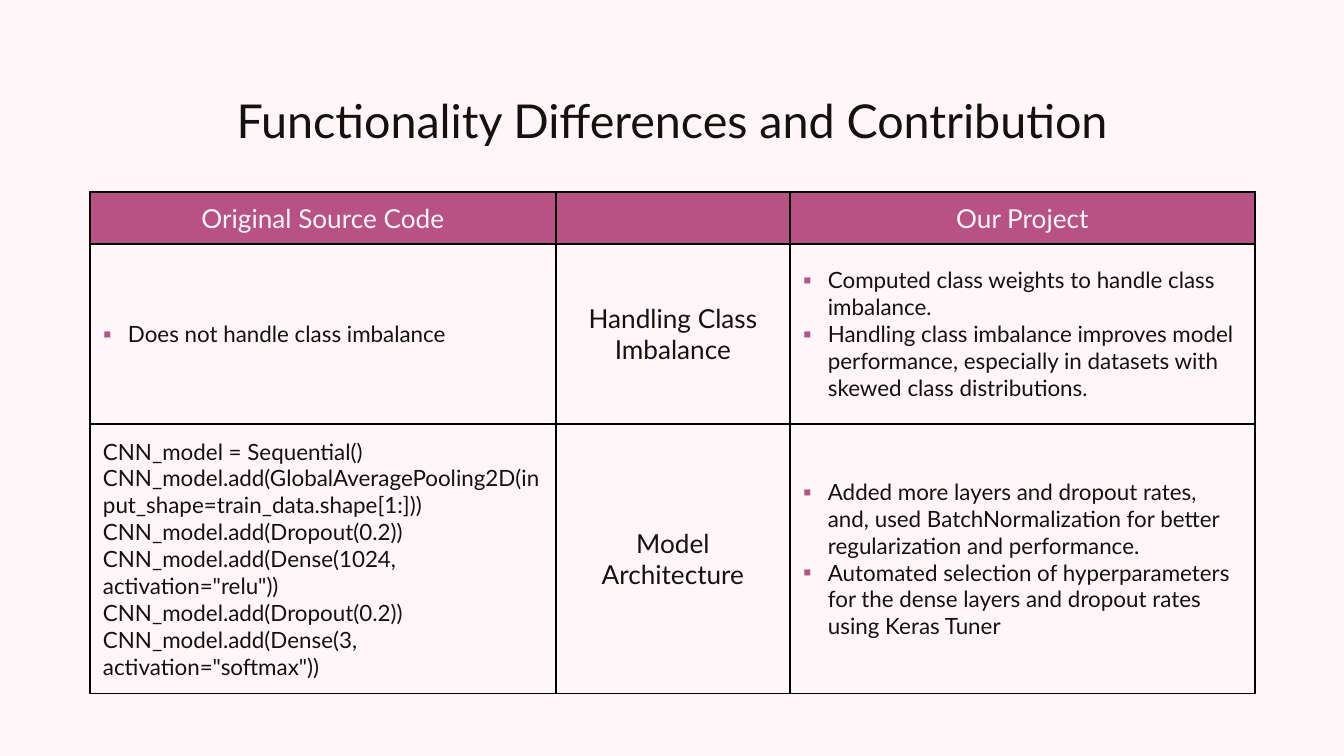
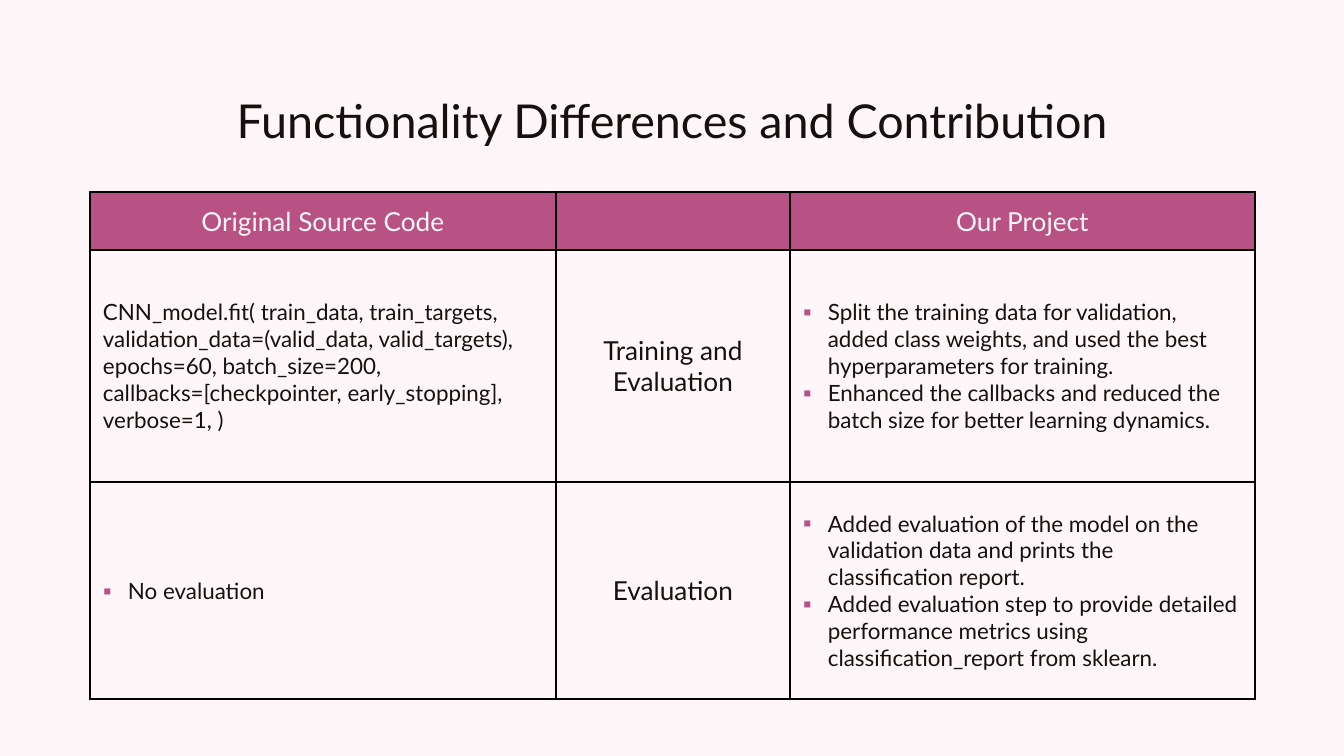
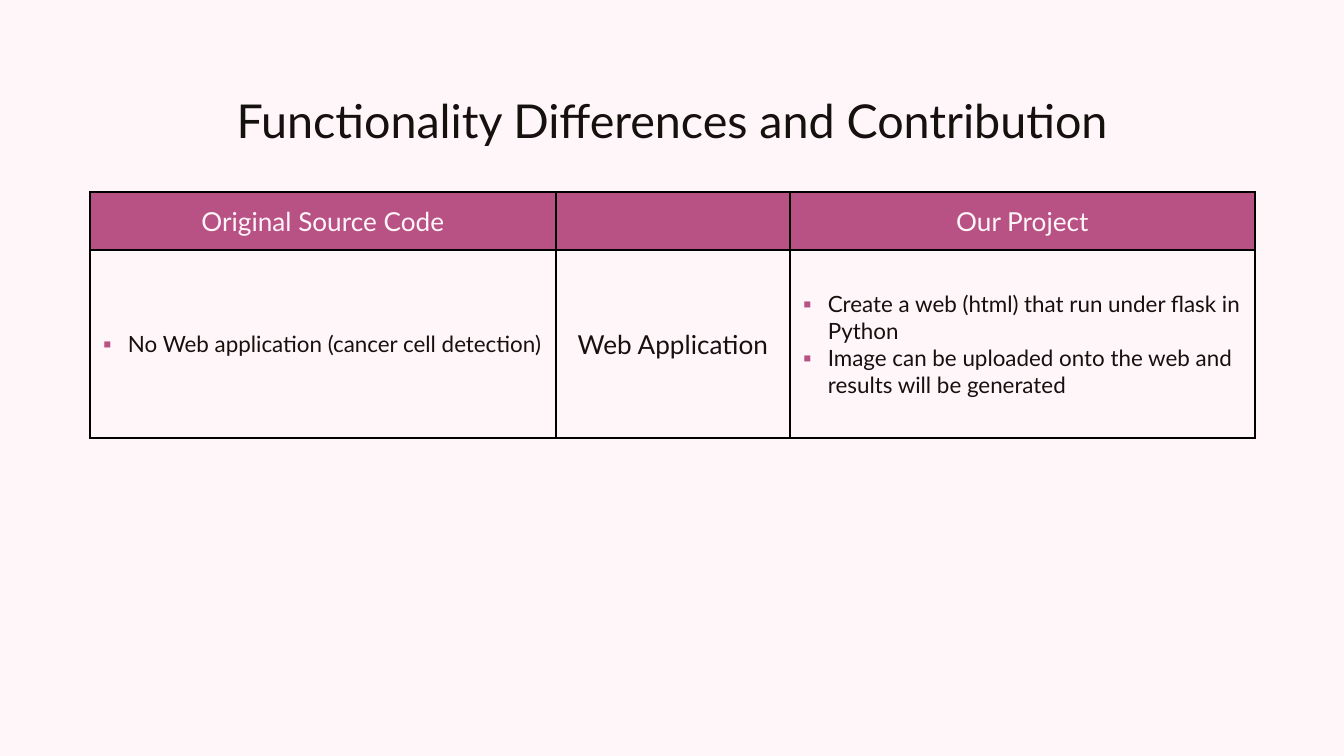
import pptx
import pptx.dml.color
import pptx.enum.text
import pptx.oxml.ns
import pptx.util
from lxml import etree

# Shared style
PX = 914400 / 134.4
COLORS = {"background": "FFF6FA", "ink": "15110E", "accent": "B85284", "border": "000000"}
FONT = "Lato"
TITLE = "Functionality Differences and Contribution"
HEADERS = ("Original Source Code", "", "Our Project")
COLUMN_WIDTHS = (466, 234, 465)
TABLE_LEFT, TABLE_TOP = 90, 192
BULLET_INDENT = 25

ALIGN = pptx.enum.text.PP_ALIGN
ANCHOR = pptx.enum.text.MSO_ANCHOR
TEXT_STYLES = {
    "title": {"size": 25, "color": "ink", "alignment": ALIGN.CENTER},
    "header": {"size": 14, "color": "background", "alignment": ALIGN.CENTER},
    "topic": {"size": 14, "color": "ink", "alignment": ALIGN.CENTER},
    "body": {"size": 12, "color": "ink", "alignment": ALIGN.LEFT},
}

# Each row: source lines, whether they are bulleted, topic, project bullets
COMPARISONS = [
    {
        "heights": (52, 180, 270),
        "rows": [
            (["Does not handle class imbalance"], True, "Handling Class Imbalance",
             ["Computed class weights to handle class imbalance.",
              "Handling class imbalance improves model performance, especially in "
              "datasets with skewed class distributions."]),
            (["CNN_model = Sequential()",
              "CNN_model.add(GlobalAveragePooling2D(input_shape=train_data.shape[1:]))",
              "CNN_model.add(Dropout(0.2))",
              'CNN_model.add(Dense(1024, activation="relu"))',
              "CNN_model.add(Dropout(0.2))",
              'CNN_model.add(Dense(3, activation="softmax"))'], False, "Model Architecture",
             ["Added more layers and dropout rates, and, used BatchNormalization for "
              "better regularization and performance.",
              "Automated selection of hyperparameters for the dense layers and dropout "
              "rates using Keras Tuner"]),
        ],
    },
    {
        "heights": (58, 232, 217),
        "rows": [
            (["CNN_model.fit( train_data, train_targets, validation_data=(valid_data, "
              "valid_targets), epochs=60, batch_size=200, callbacks=[checkpointer, "
              "early_stopping], verbose=1, )"], False, "Training and Evaluation",
             ["Split the training data for validation, added class weights, and used "
              "the best hyperparameters for training.",
              "Enhanced the callbacks and reduced the batch size for better learning "
              "dynamics."]),
            (["No evaluation"], True, "Evaluation",
             ["Added evaluation of the model on the validation data and prints the "
              "classification report.",
              "Added evaluation step to provide detailed performance metrics using "
              "classification_report from sklearn."]),
        ],
    },
    {
        "heights": (58, 188),
        "rows": [
            (["No Web application (cancer cell detection)"], True, "Web Application",
             ["Create a web (html) that run under flask in Python",
              "Image can be uploaded onto the web and results will be generated"]),
        ],
    },
]


def px(length):
    return pptx.util.Emu(round(length * PX))


def rgb(name):
    return pptx.dml.color.RGBColor.from_string(COLORS[name])


def add_xml(parent, tag, **attributes):
    return etree.SubElement(parent, pptx.oxml.ns.qn(tag), attributes)


def set_attributes(target, values):
    for name, value in values.items():
        setattr(target, name, value)


class Deck:
    def __init__(self):
        self.presentation = pptx.Presentation()
        set_attributes(self.presentation, {"slide_width": px(1344), "slide_height": px(756)})
        self.slide = None

    def add_slide(self):
        self.slide = self.presentation.slides.add_slide(self.presentation.slide_layouts[6])
        fill = self.slide.background.fill
        fill.solid()
        fill.fore_color.rgb = rgb("background")

    def add_text(self, frame, lines, style_name, bulleted=False, level=0):
        style = TEXT_STYLES[style_name]
        for index, line in enumerate(lines):
            paragraph = frame.add_paragraph() if index else frame.paragraphs[0]
            set_attributes(paragraph, {"alignment": style["alignment"], "level": level})
            if bulleted:
                self.add_bullet(paragraph)
            if not line:
                # An empty cell still needs its text size to keep the row height
                paragraph._p.get_or_add_endParaRPr().set("sz", str(style["size"] * 100))
                continue
            run = paragraph.add_run()
            run.text = line
            set_attributes(run.font, {"name": FONT, "size": pptx.util.Pt(style["size"]),
                                      "bold": False})
            run.font.color.rgb = rgb(style["color"])

    def add_bullet(self, paragraph):
        properties = paragraph._p.get_or_add_pPr()
        indent = px(BULLET_INDENT)
        properties.set("marL", str(indent))
        properties.set("indent", str(-indent))
        add_xml(add_xml(properties, "a:buClr"), "a:srgbClr", val=COLORS["accent"])
        add_xml(properties, "a:buFont", typeface=FONT)
        add_xml(properties, "a:buChar", char="▪")

    def add_title(self, text):
        box = self.slide.shapes.add_textbox(px(105), px(79), px(1134), px(81))
        margins = {f"margin_{side}": px(13) for side in ("left", "top", "right", "bottom")}
        set_attributes(box.text_frame, {"word_wrap": True, "vertical_anchor": ANCHOR.TOP, **margins})
        self.add_text(box.text_frame, [text], "title")

    def format_cell(self, cell, fill_name=None):
        set_attributes(cell, {"vertical_anchor": ANCHOR.MIDDLE, "margin_left": px(13),
                              "margin_right": px(13), "margin_top": px(6),
                              "margin_bottom": px(6)})
        properties = cell._tc.get_or_add_tcPr()
        for side in "LRTB":
            border = add_xml(properties, f"a:ln{side}", w=str(pptx.util.Pt(0.75)))
            add_xml(add_xml(border, "a:solidFill"), "a:srgbClr", val=COLORS["border"])
        if fill_name:
            cell.fill.solid()
            cell.fill.fore_color.rgb = rgb(fill_name)
        else:
            cell.fill.background()

    def add_comparison(self, heights, rows):
        table = self.slide.shapes.add_table(
            len(heights), len(COLUMN_WIDTHS), px(TABLE_LEFT), px(TABLE_TOP),
            px(sum(COLUMN_WIDTHS)), px(sum(heights))).table
        set_attributes(table, {"first_row": False, "horz_banding": False})
        for column, width in zip(table.columns, COLUMN_WIDTHS):
            column.width = px(width)
        for row, height in zip(table.rows, heights):
            row.height = px(height)

        # Header row
        for index, header in enumerate(HEADERS):
            cell = table.cell(0, index)
            self.format_cell(cell, "accent")
            self.add_text(cell.text_frame, [header], "header")

        # Body rows
        for index, (source, bulleted, topic, project) in enumerate(rows, start=1):
            cells = [table.cell(index, column) for column in range(len(COLUMN_WIDTHS))]
            for cell in cells:
                self.format_cell(cell)
            self.add_text(cells[0].text_frame, source, "body", bulleted)
            self.add_text(cells[1].text_frame, [topic], "topic")
            self.add_text(cells[2].text_frame, project, "body", bulleted=True, level=1)


def main():
    deck = Deck()
    for comparison in COMPARISONS:
        deck.add_slide()
        deck.add_title(TITLE)
        deck.add_comparison(**comparison)
    deck.presentation.save("out.pptx")


if __name__ == "__main__":
    main()
